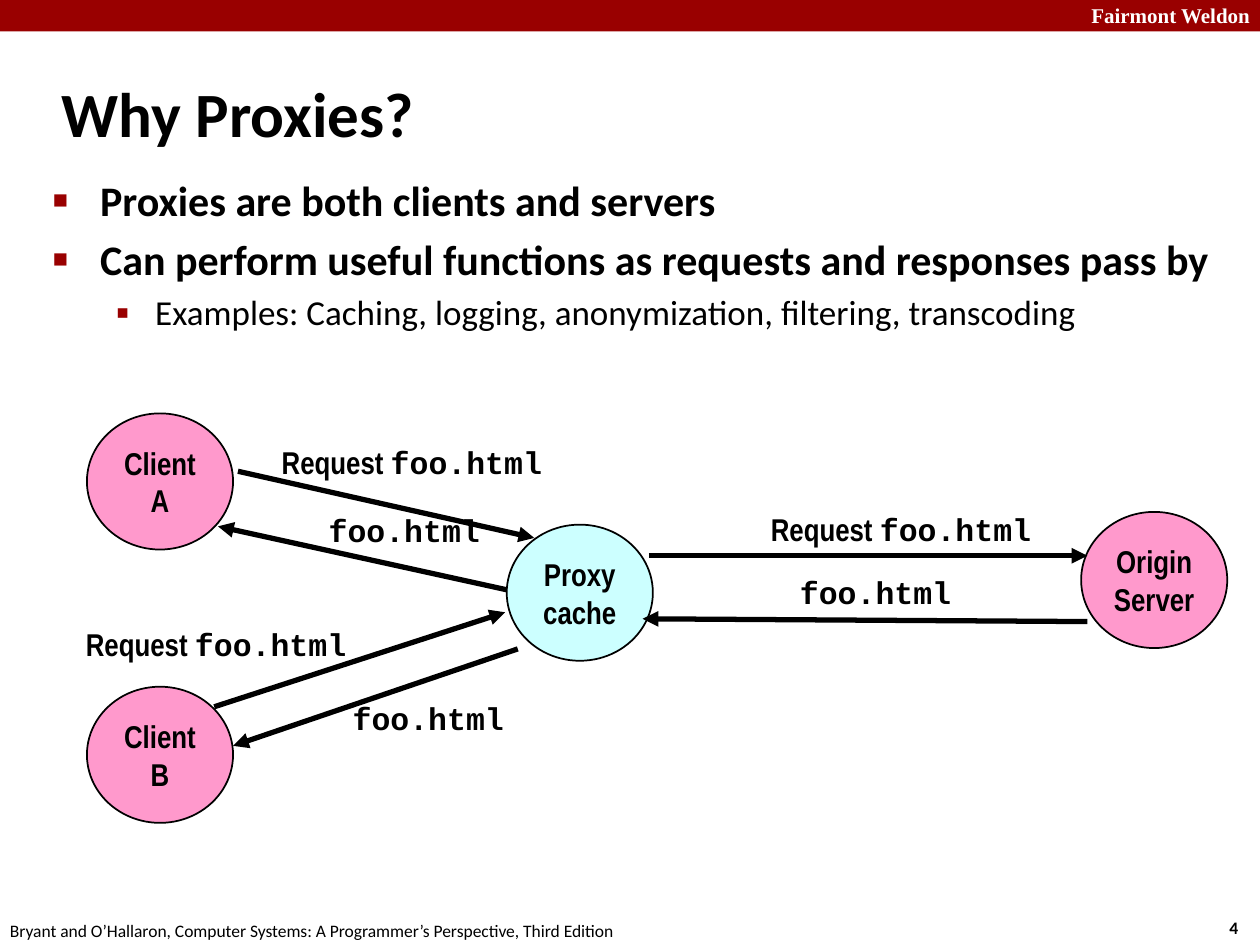
import pptx
import pptx.dml.color
import pptx.enum.shapes
import pptx.enum.text
import pptx.oxml
import pptx.oxml.ns
import pptx.util

Pt = pptx.util.Pt
ALIGN = pptx.enum.text.PP_ALIGN
ANCHOR = pptx.enum.text.MSO_ANCHOR
SHAPE = pptx.enum.shapes.MSO_SHAPE

BLACK, WHITE, RED = "000000", "FFFFFF", "990000"
PINK, CYAN = "FF99CC", "CCFFFF"
NODE_W, NODE_H = 83.5, 77.8

NODES = [
    ("Client\nA", 49.7, 236.2, PINK),
    ("Proxy\ncache", 289.6, 299.8, CYAN),
    ("Origin\nServer", 617.8, 292.5, PINK),
    ("Client\nB", 49.7, 392.4, PINK),
]
# Arrow start, arrow end, label corner, whether the label is a request
MESSAGES = [
    ((136, 269.3), (305.3, 307.4), (153.9, 249.8), True),
    ((370.8, 317.6), (621.4, 317.6), (433.4, 288), True),
    ((621.4, 355.2), (367.2, 353.6), (450, 324), False),
    ((289.4, 337), (124.6, 300.8), (180.7, 288.7), False),
    ((122.4, 403.9), (288.7, 349.9), (42, 353.5), True),
    ((295.9, 370.8), (133.2, 426.2), (194.4, 396), False),
]
BULLETS = [
    ("Proxies are both clients and servers", 0),
    ("Can perform useful functions as requests and responses pass by", 0),
    ("Examples: Caching, logging, anonymization, filtering, transcoding", 1),
]
# Per level: size, bold, left margin, hanging indent, bullet, bullet percent
LEVELS = [
    (24, True, 27, 27, "■", 60),
    (20, False, 58.5, 22.5, "▪", 110),
]


def rgb(color):
    return pptx.dml.color.RGBColor.from_string(color)


def add_xml(parent, tag, attrs="", inner=""):
    ns = pptx.oxml.ns.nsdecls("a")
    xml = f"<a:{tag} {ns} {attrs}>{inner}</a:{tag}>"
    parent.append(pptx.oxml.parse_xml(xml))


def format_run(r, size, font="Calibri", bold=True, color=BLACK):
    r.font.size = Pt(size)
    r.font.name = font
    r.font.bold = bold
    r.font.color.rgb = rgb(color)


def place(sp, x, y, w, h):
    sp.left, sp.top, sp.width, sp.height = Pt(x), Pt(y), Pt(w), Pt(h)


def set_indent(p, margin, hanging):
    pPr = p._p.get_or_add_pPr()
    pPr.set("marL", str(Pt(margin)))
    pPr.set("indent", str(-Pt(hanging)))
    return pPr


def add_shape(s, kind, x, y, w, h, fill):
    sp = s.shapes.add_shape(kind, Pt(x), Pt(y), Pt(w), Pt(h))
    sp.shadow.inherit = False
    sp.fill.solid()
    sp.fill.fore_color.rgb = rgb(fill)
    return sp


def add_text(s, x, y, w, h, parts, size, **style):
    """Add a one-line text box; parts is a list of (text, font)."""
    tf = s.shapes.add_textbox(Pt(x), Pt(y), Pt(w), Pt(h)).text_frame
    tf.word_wrap = False
    p = tf.paragraphs[0]
    for text, font in parts:
        r = p.add_run()
        r.text = text
        format_run(r, size, font, **style)
    return tf


def add_node(s, text, x, y, fill):
    sp = add_shape(s, SHAPE.OVAL, x, y, NODE_W, NODE_H, fill)
    sp.line.color.rgb = rgb(BLACK)
    sp.line.width = Pt(1)
    tf = sp.text_frame
    tf.word_wrap = False
    tf.vertical_anchor = ANCHOR.MIDDLE
    tf.text = text
    for p in tf.paragraphs:
        p.alignment = ALIGN.CENTER
        format_run(p.runs[0], 18, "Arial Narrow")


def add_arrow(s, start, end):
    kind = pptx.enum.shapes.MSO_CONNECTOR.STRAIGHT
    line = s.shapes.add_connector(kind, *map(Pt, start + end))
    line.line.color.rgb = rgb(BLACK)
    line.line.width = Pt(3)
    add_xml(line.line._get_or_add_ln(), "tailEnd", 'type="triangle"')
    add_xml(line._element.spPr, "effectLst")


def add_message(s, start, end, corner, is_request):
    add_arrow(s, start, end)
    parts = [("foo.html", "Courier New")]
    if is_request:
        parts.insert(0, ("Request ", "Arial Narrow"))
    add_text(s, *corner, 164 if is_request else 101.5, 28.8, parts, 18)


def add_frame(s):
    """Add the top band, the footer and the page number."""
    add_shape(s, SHAPE.RECTANGLE, 0, 0, 720, 18, RED).line.fill.background()
    header = add_text(s, 561.5, -2.2, 160, 21.6,
                      [("Fairmont Weldon", "Times New Roman")], 12, color=WHITE)
    header.word_wrap = True
    header.paragraphs[0].alignment = ALIGN.RIGHT
    add_text(s, 695.5, 520.6, 26.6, 19.4, [("4", "Calibri")], 10)
    credit = ("Bryant and O’Hallaron, Computer Systems: "
              "A Programmer’s Perspective, Third Edition")
    add_text(s, -1.4, 522, 365.8, 19.4, [(credit, "Calibri")], 10, bold=False)


def set_title(s, text):
    sp = s.shapes.title
    place(sp, 28.1, 34.2, 597.6, 59.8)
    tf = sp.text_frame
    tf.text = text
    tf.auto_size = pptx.enum.text.MSO_AUTO_SIZE.NONE
    tf.vertical_anchor = ANCHOR.MIDDLE
    p = tf.paragraphs[0]
    p.alignment = ALIGN.LEFT
    set_indent(p, 9.4, 9.4)
    format_run(p.runs[0], 36)


def set_bullets(s, bullets):
    sp = s.placeholders[1]
    place(sp, 23, 96.1, 679, 130.3)
    tf = sp.text_frame
    tf.text = "\n".join(text for text, _ in bullets)
    tf.auto_size = pptx.enum.text.MSO_AUTO_SIZE.NONE
    for p, (_, level) in zip(tf.paragraphs, bullets):
        size, bold, margin, hanging, char, percent = LEVELS[level]
        p.level = level
        pPr = set_indent(p, margin, hanging)
        add_xml(pPr, "buClr", inner=f'<a:srgbClr val="{RED}"/>')
        add_xml(pPr, "buSzPct", f'val="{percent * 1000}"')
        add_xml(pPr, "buChar", f'char="{char}"')
        format_run(p.runs[0], size, bold=bold)


def main():
    prs = pptx.Presentation()
    prs.slide_width, prs.slide_height = Pt(720), Pt(540)
    s = prs.slides.add_slide(prs.slide_layouts[1])
    add_frame(s)
    set_title(s, "Why Proxies?")
    set_bullets(s, BULLETS)
    for node in NODES:
        add_node(s, *node)
    for message in MESSAGES:
        add_message(s, *message)
    prs.save("out.pptx")


if __name__ == "__main__":
    main()
